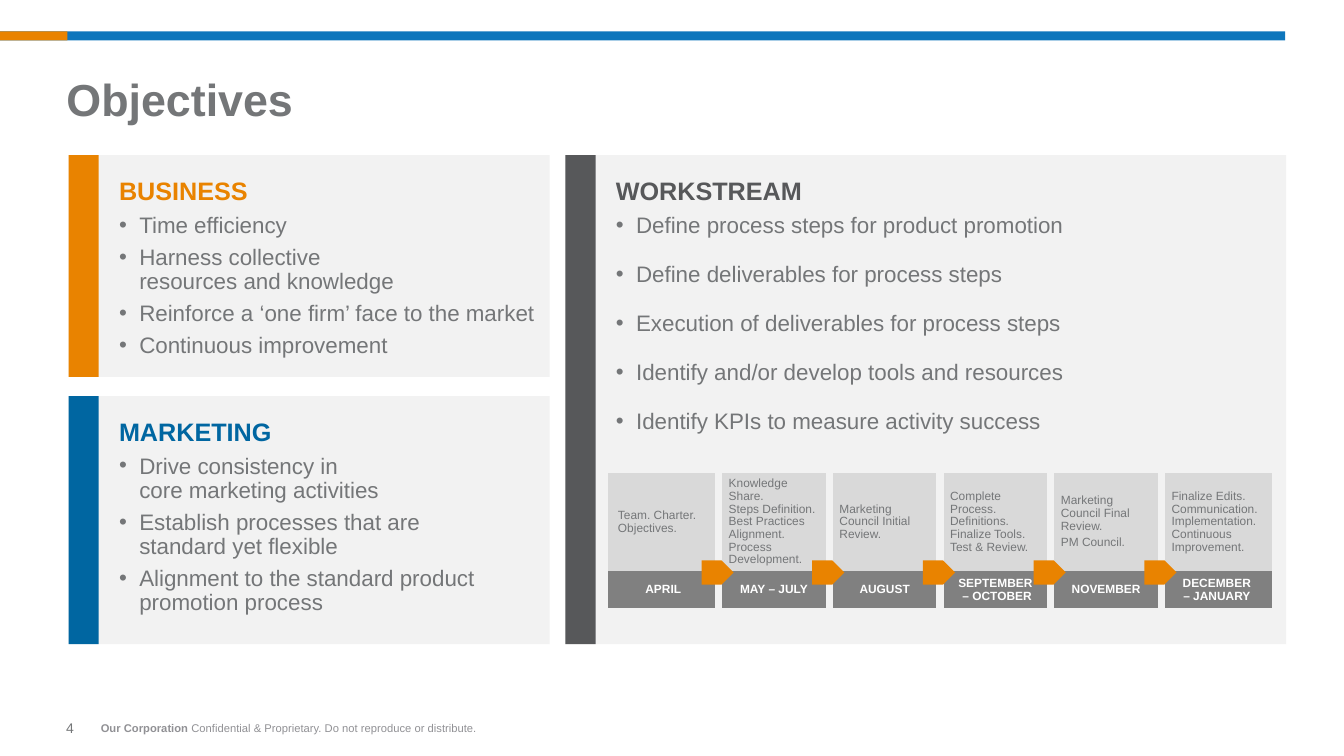
"""Build the Objectives slide with three panels and a workstream timeline."""
from lxml.etree import SubElement
from pptx import Presentation
from pptx.dml.color import RGBColor
from pptx.enum.shapes import MSO_SHAPE
from pptx.enum.text import MSO_ANCHOR, MSO_AUTO_SIZE, PP_ALIGN
from pptx.oxml.ns import qn
from pptx.util import Cm, Pt

COLORS = {
    "orange": "E98300", "sky": "0E76BC", "blue": "0066A1", "dark": "57585A",
    "text": "747678", "footer": "919195", "panel": "F2F2F2",
    "cell": "D9D9D9", "month": "808080", "white": "FFFFFF",
}


def add_block(kind, left, top, width, height, color):
    block = slide.shapes.add_shape(kind, Cm(left), Cm(top), Cm(width), Cm(height))
    block.shadow.inherit = False
    block.fill.solid()
    block.fill.fore_color.rgb = RGBColor.from_string(COLORS[color])
    block.line.fill.background()


def set_font(font, size, color, bold=False):
    font.name = "Arial"
    font.size = Pt(size)
    font.bold = bold
    font.color.rgb = RGBColor.from_string(COLORS[color])


deck = Presentation()
deck.slide_width, deck.slide_height = Cm(33.87), Cm(19.05)
slide = deck.slides.add_slide(deck.slide_layouts.get_by_name("Comparison"))

add_block(MSO_SHAPE.RECTANGLE, 0, 0.79, 32.39, 0.23, "sky")
add_block(MSO_SHAPE.RECTANGLE, 0, 0.79, 1.7, 0.23, "orange")

title = slide.shapes.title
title.left, title.top, title.width, title.height = Cm(1.42), Cm(1.83), Cm(30.99), Cm(1.65)
title.text_frame.text = "Objectives"
title.text_frame.vertical_anchor = MSO_ANCHOR.TOP
title.text_frame.auto_size = MSO_AUTO_SIZE.NONE
para = title.text_frame.paragraphs[0]
para.alignment = PP_ALIGN.LEFT
para.line_spacing = 0.9
set_font(para.font, 32, "text", True)

panels = [
    ("BUSINESS", "orange", (1.73, 3.91, 12.12, 5.59), 6, [
        "Time efficiency",
        "Harness collective\nresources and knowledge",
        "Reinforce a ‘one firm’ face to the market",
        "Continuous improvement",
    ]),
    ("MARKETING", "blue", (1.73, 9.98, 12.12, 6.25), 6, [
        "Drive consistency in\ncore marketing activities",
        "Establish processes that are\nstandard yet flexible",
        "Alignment to the standard product promotion process",
    ]),
    ("WORKSTREAM", "dark", (14.25, 3.91, 18.16, 12.32), 18, [
        "Define process steps for product promotion",
        "Define deliverables for process steps",
        "Execution of deliverables for process steps",
        "Identify and/or develop tools and resources",
        "Identify KPIs to measure activity success",
    ]),
]
bodies = list(slide.placeholders)[1:]
for body, (heading, color, (left, top, width, height), gap, items) in zip(bodies, panels):
    body.left, body.top, body.width, body.height = Cm(left), Cm(top), Cm(width), Cm(height)
    body.fill.solid()
    body.fill.fore_color.rgb = RGBColor.from_string(COLORS["panel"])
    frame = body.text_frame
    frame.word_wrap = True
    frame.auto_size = MSO_AUTO_SIZE.NONE
    frame.vertical_anchor = MSO_ANCHOR.TOP
    frame.margin_left, frame.margin_top = Cm(1.27), Cm(0.51)
    frame.margin_right, frame.margin_bottom = Cm(0.25), Cm(0.13)
    for index, text in enumerate([heading] + items):
        para = frame.add_paragraph() if index else frame.paragraphs[0]
        para.text = text
        para.alignment = PP_ALIGN.LEFT
        para.space_before = Pt(0)
        properties = para._p.get_or_add_pPr()
        if index:
            para.space_after = Pt(gap)
            para.line_spacing = Pt(17)
            properties.set("marL", str(Cm(0.51)))
            properties.set("indent", str(-Cm(0.51)))
            SubElement(properties, qn("a:buFont"), typeface="Arial")
            SubElement(properties, qn("a:buChar"), char="•")
            set_font(para.font, 16, "text")
        else:
            para.space_after = Pt(6)
            properties.set("marL", "0")
            properties.set("indent", "0")
            SubElement(properties, qn("a:buNone"))
            set_font(para.font, 18, color, True)
    add_block(MSO_SHAPE.RECTANGLE, left, top, 0.76, height, color)
for body in bodies[len(panels):]:
    body.element.getparent().remove(body.element)

steps = [
    ("APRIL", ["Team. Charter.\nObjectives."]),
    ("MAY – JULY", ["Knowledge Share.\nSteps Definition. Best Practices Alignment. "
                    "Process Development."]),
    ("AUGUST", ["Marketing Council Initial Review."]),
    ("SEPTEMBER\n – OCTOBER", ["Complete Process. Definitions. Finalize Tools. Test & Review."]),
    ("NOVEMBER", ["Marketing Council Final Review.", "PM Council."]),
    ("DECEMBER\n– JANUARY", ["Finalize Edits.\nCommunication.\nImplementation.\n"
                             "Continuous Improvement."]),
]
column_width = 2.79
timeline = slide.shapes.add_table(
    2, len(steps), Cm(15.32), Cm(11.91), Cm(column_width * len(steps)), Cm(3.4)).table
timeline.first_row = timeline.horz_banding = False
style = timeline._tbl.tblPr.find(qn("a:tableStyleId"))
style.text = "{2D5ABB26-0587-4C30-8999-92F81FD0307C}"
timeline.rows[0].height, timeline.rows[1].height = Cm(2.49), Cm(0.91)
for column, (month, tasks) in enumerate(steps):
    timeline.columns[column].width = Cm(column_width)
    for row, lines in enumerate([tasks, [month]]):
        cell = timeline.cell(row, column)
        sides = (["a:lnL"] if column else []) + (["a:lnR"] if column < len(steps) - 1 else [])
        for side in sides:
            border = SubElement(cell._tc.get_or_add_tcPr(), qn(side), w=str(Pt(6)))
            paint = SubElement(border, qn("a:solidFill"))
            SubElement(paint, qn("a:srgbClr"), val=COLORS["panel"])
        cell.fill.solid()
        cell.fill.fore_color.rgb = RGBColor.from_string(COLORS["month" if row else "cell"])
        cell.vertical_anchor = MSO_ANCHOR.MIDDLE
        for index, text in enumerate(lines):
            para = cell.text_frame.add_paragraph() if index else cell.text_frame.paragraphs[0]
            para.text = text
            if row:
                para.alignment = PP_ALIGN.CENTER
                set_font(para.font, 8.5, "white", True)
            else:
                para.line_spacing = Pt(9)
                para.space_after = Pt(3 if column > 3 else 0)
                set_font(para.font, 8.5, "text")

for index in range(len(steps) - 1):
    add_block(MSO_SHAPE.PENTAGON, 17.68 + index * column_width, 14.12, 0.81, 0.61, "orange")

number = slide.shapes.add_textbox(Cm(1.42), Cm(17.83), Cm(1.32), Cm(1.02))
number.text_frame.word_wrap = True
number.text_frame.vertical_anchor = MSO_ANCHOR.MIDDLE
number.text_frame.text = "4"
set_font(number.text_frame.paragraphs[0].font, 10, "text")

footer = slide.shapes.add_textbox(Cm(2.29), Cm(18.06), Cm(10.06), Cm(0.61))
footer.text_frame.word_wrap = False
para = footer.text_frame.paragraphs[0]
set_font(para.font, 8, "footer")
for text, bold in [("Our Corporation", True),
                   (" Confidential & Proprietary. Do not reproduce or distribute.", False)]:
    span = para.add_run()
    span.text = text
    set_font(span.font, 8, "footer", bold)

deck.save("out.pptx")
